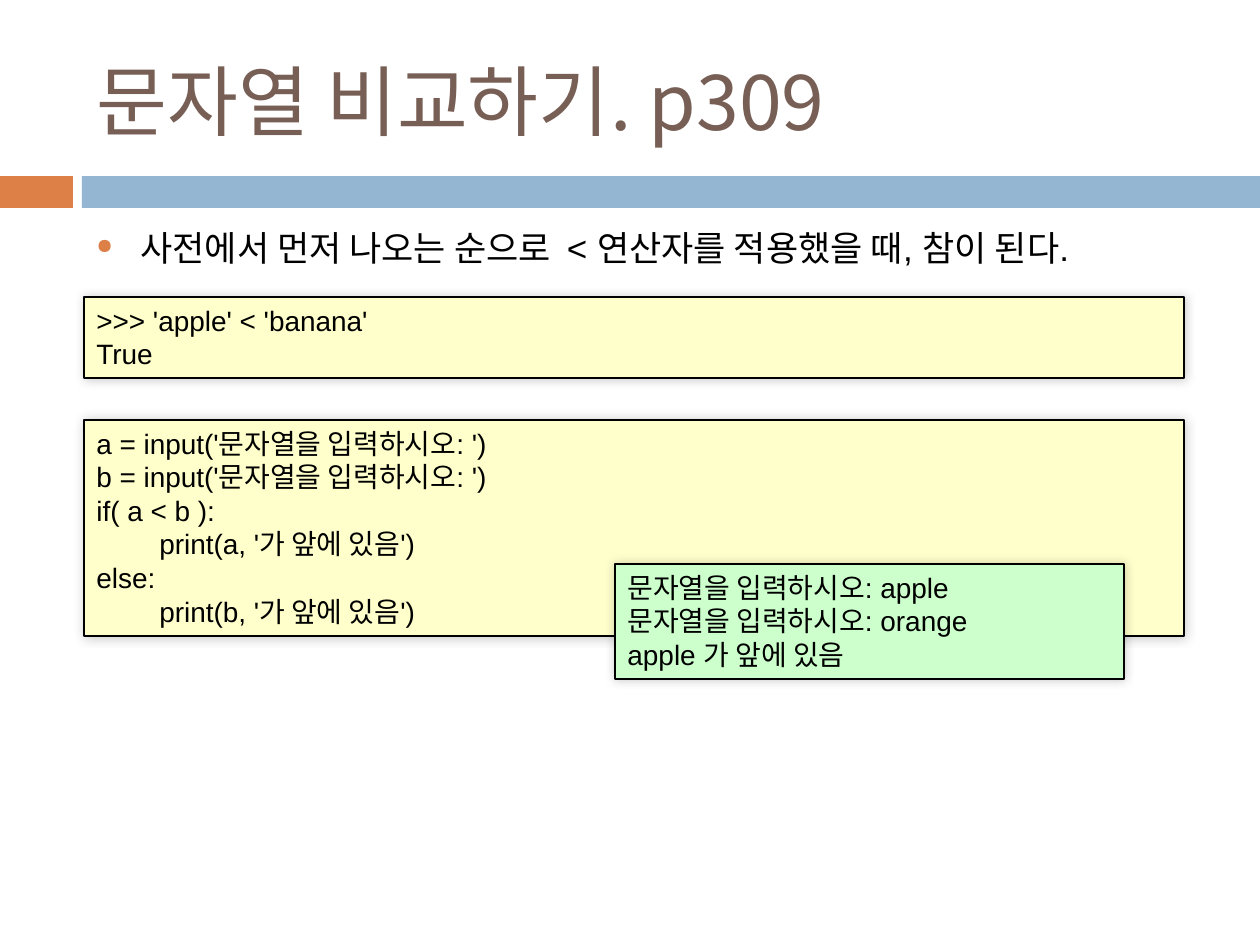
from lxml.etree import SubElement
from pptx import Presentation
from pptx.dml.color import RGBColor
from pptx.enum.shapes import MSO_SHAPE as Shape
from pptx.enum.text import MSO_ANCHOR as Anchor, MSO_AUTO_SIZE as AutoSize, PP_ALIGN as Align
from pptx.oxml import parse_xml
from pptx.oxml.ns import nsdecls, qn
from pptx.util import Pt

EMU_PER_PX = 914400 / 126
KOREAN_FONT = "Noto Sans CJK KR"
COLORS = {
    "title": "775F55",
    "accent": "DD8047",
    "band": "94B6D2",
    "code": "FFFFCC",
    "output": "CCFFCC",
    "ink": "000000",
}
FRAME_FORMAT = {
    "word_wrap": True,
    "auto_size": AutoSize.NONE,
    "vertical_anchor": Anchor.TOP,
}
SHELL_LINES = [">>> 'apple' < 'banana'", "True"]
PROGRAM_LINES = [
    "a = input('문자열을 입력하시오: ')",
    "b = input('문자열을 입력하시오: ')",
    "if( a < b ):",
    "\tprint(a, '가 앞에 있음')",
    "else:",
    "\tprint(b, '가 앞에 있음')",
]
OUTPUT_LINES = [
    "문자열을 입력하시오: apple",
    "문자열을 입력하시오: orange",
    "apple 가 앞에 있음",
]


def px(length):
    return round(length * EMU_PER_PX)


def rgb(name):
    return RGBColor.from_string(COLORS[name])


def set_attributes(target, values):
    for name, value in values.items():
        setattr(target, name, value)


def write_lines(frame, lines, size, color="ink", font="Arial", **frame_format):
    set_attributes(frame, FRAME_FORMAT | frame_format)
    frame.text = "\n".join(lines)
    for paragraph in frame.paragraphs:
        paragraph.alignment = Align.LEFT
        for run in paragraph.runs:
            set_attributes(run.font, {"name": font, "size": Pt(size)})
            run.font.color.rgb = rgb(color)
            SubElement(run.font._element, qn("a:ea"), typeface=KOREAN_FONT)


def add_block(slide, box, color):
    block = slide.shapes.add_shape(Shape.RECTANGLE, *map(px, box))
    block.shadow.inherit = False
    block.fill.solid()
    block.fill.fore_color.rgb = rgb(color)
    block.line.fill.background()
    return block


def add_soft_shadow(shape):
    effects = shape._element.spPr.find(qn("a:effectLst"))
    effects.append(parse_xml(
        f'<a:outerShdw {nsdecls("a")} blurRad="{Pt(6)}" dist="0" dir="18900000">'
        f'<a:srgbClr val="{COLORS["ink"]}"><a:alpha val="20000"/></a:srgbClr>'
        '</a:outerShdw>'
    ))


def add_listing(slide, box, color, lines):
    listing = add_block(slide, box, color)
    listing.line.color.rgb = rgb("ink")
    listing.line.width = Pt(0.75)
    add_soft_shadow(listing)
    write_lines(listing.text_frame, lines, 16, auto_size=AutoSize.SHAPE_TO_FIT_TEXT)


def add_title(slide, box, text):
    title = slide.shapes.title
    set_attributes(title, dict(zip(("left", "top", "width", "height"), map(px, box))))
    write_lines(title.text_frame, [text], 44, "title", KOREAN_FONT,
                vertical_anchor=Anchor.MIDDLE)


def add_bullet_text(slide, box, text):
    body = slide.shapes.add_textbox(*map(px, box))
    write_lines(body.text_frame, [text], 20)
    paragraph = body.text_frame.paragraphs[0]
    paragraph.space_before = Pt(7)
    properties = paragraph._p.get_or_add_pPr()
    properties.set("marL", str(px(44)))
    properties.set("indent", str(-px(44)))
    bullet_color = SubElement(properties, qn("a:buClr"))
    SubElement(bullet_color, qn("a:srgbClr"), val=COLORS["accent"])
    SubElement(properties, qn("a:buSzPct"), val="60000")
    SubElement(properties, qn("a:buChar"), char="●")


def main():
    deck = Presentation()
    set_attributes(deck, {"slide_width": px(1260), "slide_height": px(945)})
    slide = deck.slides.add_slide(deck.slide_layouts[5])

    add_block(slide, (0, 176, 73, 32), "accent")
    add_block(slide, (82, 176, 1178, 32), "band")
    add_title(slide, (84, 32, 1124, 136), "문자열 비교하기. p309")
    add_bullet_text(slide, (84, 220, 1124, 620),
                    "사전에서 먼저 나오는 순으로  < 연산자를 적용했을 때, 참이 된다.")
    add_listing(slide, (84, 297, 1100, 81), "code", SHELL_LINES)
    add_listing(slide, (84, 420, 1100, 216), "code", PROGRAM_LINES)
    add_listing(slide, (615, 564, 509, 115), "output", OUTPUT_LINES)
    deck.save("out.pptx")


if __name__ == "__main__":
    main()
